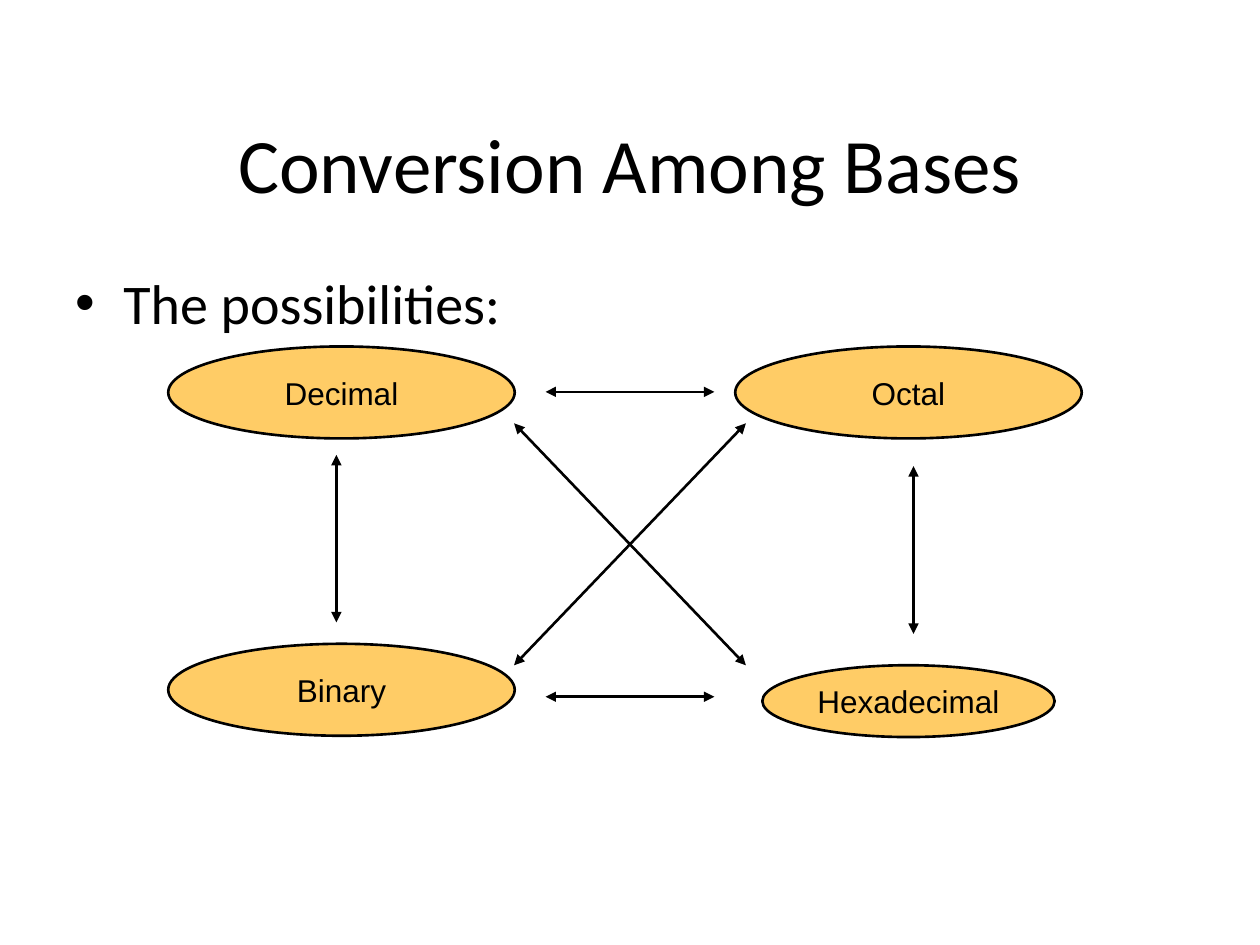
from lxml.etree import SubElement
from pptx import Presentation
from pptx.dml.color import RGBColor
from pptx.enum.shapes import MSO_CONNECTOR as Link, MSO_SHAPE as Shape
from pptx.enum.text import MSO_ANCHOR as Anchor, MSO_AUTO_SIZE as Fit, PP_ALIGN as Align
from pptx.oxml.ns import qn
from pptx.util import Inches, Pt


def color(code):
    return RGBColor.from_string(code)


def apply(item, style):
    for key, value in style.items():
        setattr(item, key, value)


class Board:
    ink = "000000"
    gold = "FFCC66"
    width = Pt(1.5)
    title_font = {"name": "Calibri", "size": Pt(44)}
    list_font = {"name": "Calibri", "size": Pt(32)}
    node_font = {"name": "Arial", "size": Pt(18)}

    def __init__(self, slide):
        self.slide = slide

    def label(self, frame, text, font, align):
        frame.text = text
        para = frame.paragraphs[0]
        apply(para, {"alignment": align, "space_before": Pt(0)})
        apply(para.runs[0].font, font)
        para.runs[0].font.color.rgb = color(self.ink)
        return para

    def place(self, holder, box):
        names = ("left", "top", "width", "height")
        apply(holder, dict(zip(names, map(Inches, box))))
        holder.text_frame.auto_size = Fit.NONE

    def title(self, text, box):
        holder = self.slide.shapes.title
        self.place(holder, box)
        holder.text_frame.vertical_anchor = Anchor.MIDDLE
        self.label(holder.text_frame, text, self.title_font, Align.CENTER)

    def bullet(self, text, box):
        holder = self.slide.placeholders[1]
        self.place(holder, box)
        para = self.label(holder.text_frame, text, self.list_font, Align.LEFT)
        props = para._p.get_or_add_pPr()
        props.set("marL", str(Inches(0.38)))
        props.set("indent", str(-Inches(0.38)))
        SubElement(props, qn("a:buFont"), typeface="Arial")
        SubElement(props, qn("a:buChar"), char="•")

    def stroke(self, line):
        line.color.rgb = color(self.ink)
        line.width = self.width

    def node(self, text, mid, top, wide, high):
        box = map(Inches, (mid - wide / 2, top, wide, high))
        oval = self.slide.shapes.add_shape(Shape.OVAL, *box)
        oval.shadow.inherit = False
        oval.fill.solid()
        oval.fill.fore_color.rgb = color(self.gold)
        self.stroke(oval.line)
        frame = oval.text_frame
        apply(frame, {"word_wrap": False, "vertical_anchor": Anchor.MIDDLE})
        self.label(frame, text, self.node_font, Align.CENTER)

    def arrow(self, *ends):
        link = self.slide.shapes.add_connector(Link.STRAIGHT, *map(Inches, ends))
        self.stroke(link.line)
        for end in ("a:headEnd", "a:tailEnd"):
            SubElement(link.line._get_or_add_ln(), qn(end), type="triangle")
        SubElement(link._element.spPr, qn("a:effectLst"))


def main():
    deck = Presentation()
    apply(deck, {"slide_width": Inches(10), "slide_height": Inches(7.5)})
    board = Board(deck.slides.add_slide(deck.slide_layouts[1]))
    board.title("Conversion Among Bases", (0.5, 0.67, 9, 1.25))
    board.bullet("The possibilities:", (0.5, 2.08, 9, 4.62))

    left, right = 2.71, 7.21
    size = (2.75, 0.73)
    board.node("Hexadecimal", right, 5.28, 2.32, 0.57)
    board.node("Decimal", left, 2.75, *size)
    board.node("Octal", right, 2.75, *size)
    board.node("Binary", left, 5.11, *size)

    for start, end in ((4.08, 5.92), (5.92, 4.08)):
        board.arrow(start, 5.28, end, 3.36)
    for x, top in ((7.25, 3.7), (2.67, 3.61)):
        board.arrow(x, top + 1.33, x, top)
    for y in (3.11, 5.53):
        board.arrow(4.33, y, 5.67, y)
    deck.save("out.pptx")


if __name__ == "__main__":
    main()
